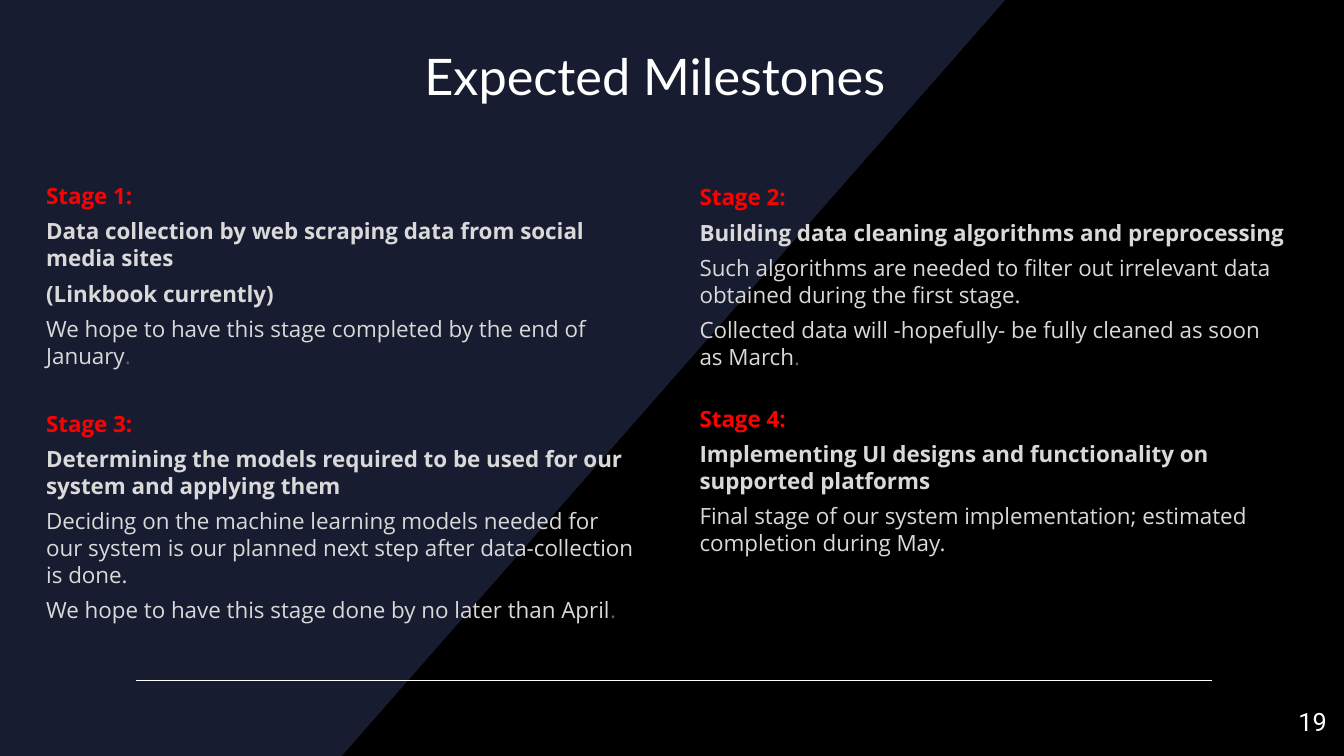
"""Build the expected milestones slide."""
import pptx
import pptx.dml.color
import pptx.enum.shapes
import pptx.enum.text
import pptx.oxml.ns
import pptx.util
from lxml import etree

Inches = pptx.util.Inches
Pt = pptx.util.Pt
RGB = pptx.dml.color.RGBColor
ALIGN = pptx.enum.text.PP_ALIGN

WIDTH, HEIGHT = 13.33, 7.5
COLUMN_WIDTH = 6.04
BLACK = RGB(0x00, 0x00, 0x00)
NAVY = RGB(0x18, 0x1C, 0x30)
WHITE = RGB(0xFF, 0xFF, 0xFF)
RED = RGB(0xFF, 0x00, 0x00)
GREY = RGB(0xD9, 0xD9, 0xD9)
BROWN = RGB(0x69, 0x5D, 0x46)

LEFT_STAGES = [
    ("Stage 1:",
     ["Data collection by web scraping data from social media sites",
      "(Linkbook currently)"],
     [("We hope to have this stage completed by the end of January", ".")]),
    ("Stage 3:",
     ["Determining the models required to be used for our system and applying them"],
     [("Deciding on the machine learning models needed for our system is our "
       "planned next step after data-collection is done.", ""),
      ("We hope to have this stage done by no later than April", ".")]),
]
RIGHT_STAGES = [
    ("Stage 2:",
     ["Building data cleaning algorithms and preprocessing"],
     [("Such algorithms are needed to filter out irrelevant data obtained "
       "during the first stage.", ""),
      ("Collected data will -hopefully- be fully cleaned as soon as March", ".")]),
    ("Stage 4:",
     ["Implementing UI designs and functionality on supported platforms"],
     [("Final stage of our system implementation; estimated completion during May.", "")]),
]


def add_span(para, text, font="Open Sans", size=16, color=GREY, bold=False):
    """Append formatted text to a paragraph."""
    span = para.add_run()
    span.text = text
    span.font.name = font
    span.font.size = Pt(size)
    span.font.color.rgb = color
    span.font.bold = bold


def add_box(page, left, top, width, height):
    """Add a wrapping text box and return its text frame."""
    box = page.shapes.add_textbox(*map(Inches, (left, top, width, height)))
    box.text_frame.word_wrap = True
    return box.text_frame


def add_label(page, left, top, width, height, text, align=ALIGN.LEFT, **style):
    """Add a one-line text box."""
    para = add_box(page, left, top, width, height).paragraphs[0]
    para.alignment = align
    add_span(para, text, **style)


def add_backdrop(page):
    """Paint the black background and the slanted navy panel."""
    page.background.fill.solid()
    page.background.fill.fore_color.rgb = BLACK
    builder = page.shapes.build_freeform(0, 0, scale=Inches(0.01))
    builder.add_line_segments([(997, 0), (339, 750), (0, 750)], close=True)
    panel = builder.convert_to_shape()
    panel.shadow.inherit = False
    panel.fill.solid()
    panel.fill.fore_color.rgb = NAVY
    panel.line.fill.background()


def add_rule(page, left, right, top):
    """Draw the thin white line above the footer."""
    rule = page.shapes.add_connector(
        pptx.enum.shapes.MSO_CONNECTOR.STRAIGHT, *map(Inches, (left, top, right, top)))
    rule.line.color.rgb = WHITE
    rule.line.width = Pt(1)
    etree.SubElement(rule._element.spPr, pptx.oxml.ns.qn("a:effectLst"))


def add_stages(page, left, top, height, stages, gap):
    """Write a column of stages, with a gap in points between them."""
    frame = add_box(page, left, top, COLUMN_WIDTH, height)

    def next_para(before):
        """Return a fresh paragraph with the given space before it."""
        para = frame.add_paragraph() if frame.text else frame.paragraphs[0]
        para.space_before = Pt(before)
        return para

    for index, (name, goals, details) in enumerate(stages):
        add_span(next_para(gap * index), name, color=RED, bold=True)
        for goal in goals:
            add_span(next_para(6), goal, bold=True)
        for detail, stop in details:
            para = next_para(6)
            add_span(para, detail)
            if stop:
                add_span(para, stop, color=BROWN)


def add_milestones(page):
    """Compose the whole slide."""
    add_backdrop(page)
    add_rule(page, 1.35, 12.02, 0.9 * HEIGHT)
    add_label(page, 2.51, 0.4, 7.97, 0.71, "Expected Milestones",
              align=ALIGN.CENTER, font="Lato", size=36, color=WHITE)
    add_label(page, 12.78, 6.96, 0.55, 0.4, "19", font="Roboto", size=18, color=WHITE)
    add_stages(page, 0.36, 1.76, 5.7, LEFT_STAGES, gap=29.5)
    add_stages(page, 6.84, 1.77, 4.31, RIGHT_STAGES, gap=25)


def main():
    """Create the deck and save it."""
    deck = pptx.Presentation()
    deck.slide_width = Inches(WIDTH)
    deck.slide_height = Inches(HEIGHT)
    add_milestones(deck.slides.add_slide(deck.slide_layouts[6]))
    deck.save("out.pptx")


if __name__ == "__main__":
    main()
